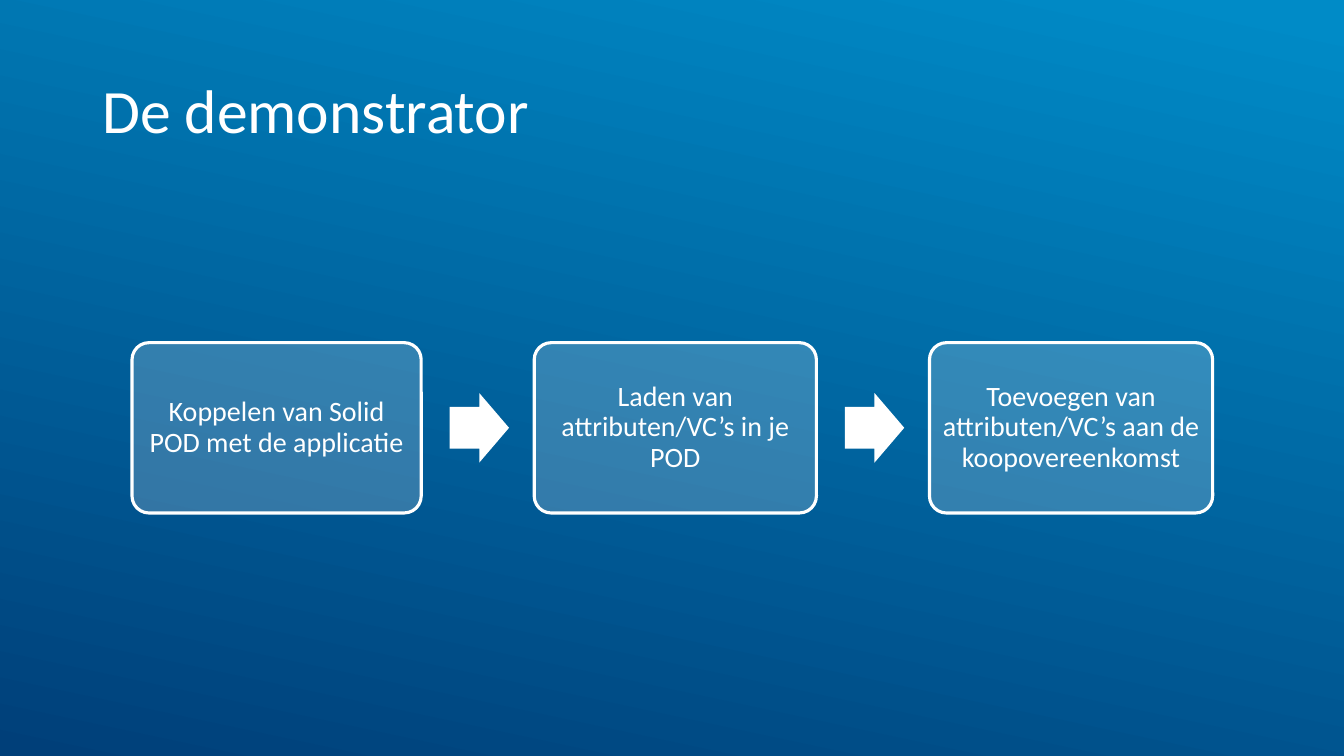
from lxml.etree import SubElement
from pptx import Presentation
from pptx.dml.color import RGBColor as Rgb
from pptx.enum.shapes import MSO_SHAPE as Kind
from pptx.enum.text import MSO_ANCHOR as Anchor, PP_ALIGN as Align
from pptx.oxml.ns import qn
from pptx.util import Pt

COLORS = {"white": "FFFFFF", "light": "008BC7", "dark": "003F79"}
STEPS = [
    ("Koppelen van Solid POD met de applicatie", 206.6),
    ("Laden van attributen/VC’s in je POD", 201.6),
    ("Toevoegen van attributen/VC’s aan de koopovereenkomst", 202.3),
]
LEFT, MID = 94.3, 305.6
BOX_H, ARROW_W, ARROW_H = 121.7, 42.5, 49.7
GAP, PITCH = 20.2, 60.5


def color(name):
    """Return the named colour."""
    return Rgb.from_string(COLORS[name])


def paint(slide):
    """Give the slide its gradient background."""
    fill = slide.background.fill
    fill.gradient()
    fill.gradient_angle = 258
    for stop, name, pos in zip(fill.gradient_stops, ("light", "dark"), (0.02, 1)):
        stop.color.rgb = color(name)
        stop.position = pos


def write(frame, text, size, align):
    """Write one white paragraph in the theme font, centred vertically."""
    frame.word_wrap = True
    frame.vertical_anchor = Anchor.MIDDLE
    para = frame.paragraphs[0]
    para.alignment = align
    para.line_spacing = 0.9
    run = para.add_run()
    run.text = text
    run.font.size = Pt(size)
    run.font.color.rgb = color("white")


def add_title(slide, text):
    """Place and fill the title."""
    title = slide.shapes.title
    title.left, title.top = Pt(66), Pt(28.75)
    title.width, title.height = Pt(828), Pt(104.4)
    write(title.text_frame, text, 44, Align.LEFT)


def add_shape(slide, kind, left, width, height):
    """Add a white shape centred on the row's middle line."""
    shape = slide.shapes.add_shape(
        kind, Pt(left), Pt(MID - height / 2), Pt(width), Pt(height))
    shape.shadow.inherit = False
    shape.fill.solid()
    shape.fill.fore_color.rgb = color("white")
    return shape


def add_box(slide, text, left, width):
    """Add a translucent rounded box with its step text."""
    box = add_shape(slide, Kind.ROUNDED_RECTANGLE, left, width, BOX_H)
    box.adjustments[0] = 0.1
    tint = box.fill._xPr.find(qn("a:solidFill"))[0]
    SubElement(tint, qn("a:alpha")).set("val", "20000")
    box.line.color.rgb = color("white")
    box.line.width = Pt(2.25)
    frame = box.text_frame
    frame.margin_left = frame.margin_right = Pt(5.4)
    frame.margin_top = frame.margin_bottom = Pt(5.4)
    write(frame, text, 20, Align.CENTER)


def add_arrow(slide, left):
    """Add a solid block arrow between two steps."""
    arrow = add_shape(slide, Kind.RIGHT_ARROW, left, ARROW_W, ARROW_H)
    arrow.adjustments[0] = 0.6
    arrow.adjustments[1] = 0.5
    arrow.line.fill.background()


def main():
    """Build and save the slide."""
    deck = Presentation()
    deck.slide_width, deck.slide_height = Pt(960), Pt(540)
    slide = deck.slides.add_slide(deck.slide_layouts[5])
    paint(slide)
    add_title(slide, "De demonstrator")
    left = LEFT
    for index, (text, width) in enumerate(STEPS):
        if index:
            add_arrow(slide, left + GAP)
            left += GAP + PITCH
        add_box(slide, text, left, width)
        left += width
    deck.save("out.pptx")


if __name__ == "__main__":
    main()
